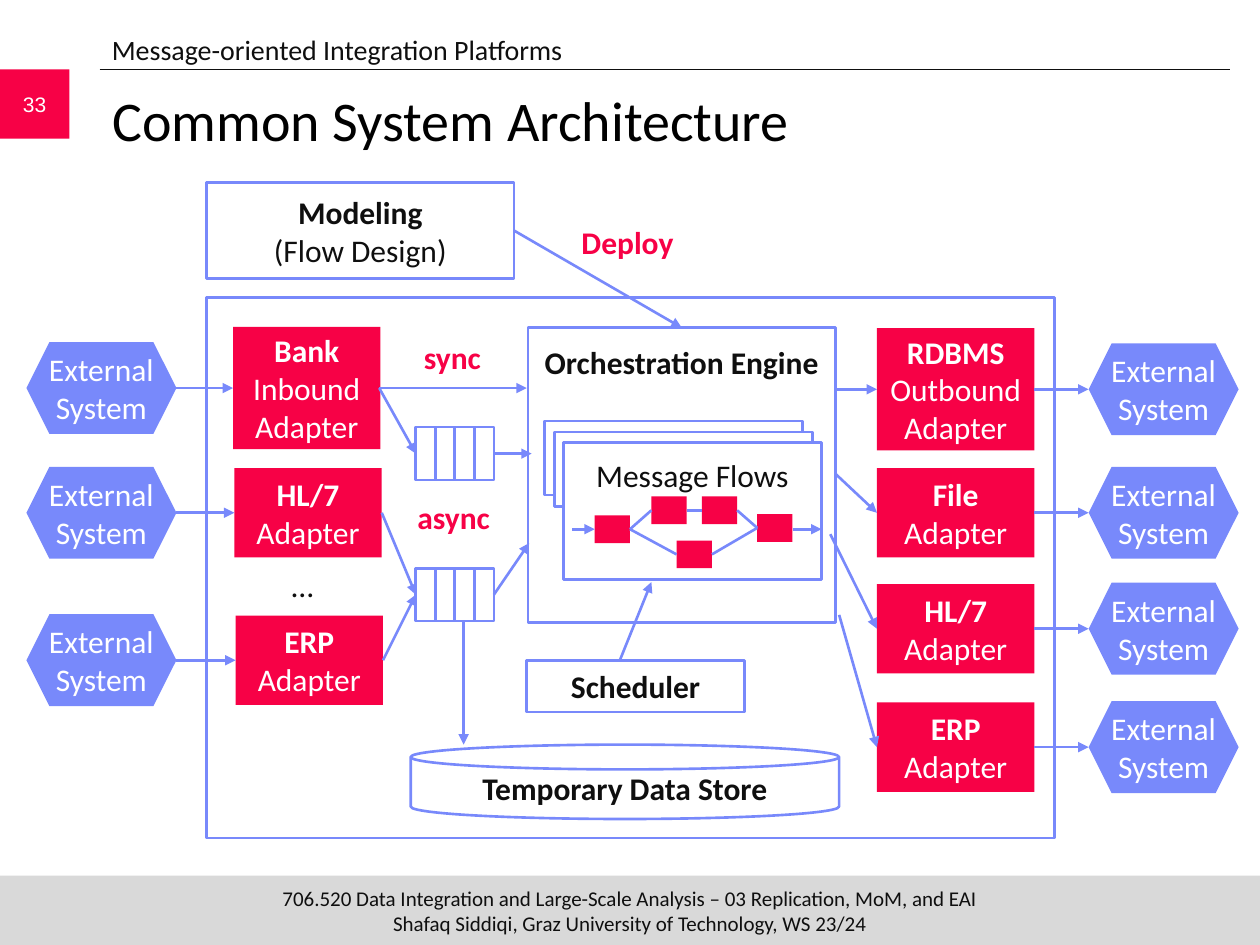
from lxml import etree
from pptx import Presentation
from pptx.dml.color import RGBColor
from pptx.enum.shapes import MSO_CONNECTOR, MSO_SHAPE
from pptx.enum.text import MSO_ANCHOR, PP_ALIGN
from pptx.oxml.ns import qn
from pptx.util import Inches, Pt

RED = RGBColor(0xF7, 0x01, 0x46)
BLUE = RGBColor(0x78, 0x89, 0xFB)
INK = RGBColor(0x0F, 0x0F, 0x0F)
BLACK = RGBColor(0, 0, 0)
WHITE = RGBColor(0xFF, 0xFF, 0xFF)
GRAY = RGBColor(0xD9, 0xD9, 0xD9)
RECT, HEXAGON = MSO_SHAPE.RECTANGLE, MSO_SHAPE.HEXAGON
DISK = MSO_SHAPE.FLOWCHART_MAGNETIC_DISK
STRAIGHT = MSO_CONNECTOR.STRAIGHT
TOP, MIDDLE = MSO_ANCHOR.TOP, MSO_ANCHOR.MIDDLE
LEFT, CENTER = PP_ALIGN.LEFT, PP_ALIGN.CENTER
HEX_W, HEX_H = 1.19, 0.73


def write(s, lines, color=INK, size=18, anchor=MIDDLE, align=CENTER,
          inset=(0.1, 0.05), font="Calibri"):
    """Fill s with one paragraph; lines is a list of (text, bold)."""
    tf = s.text_frame
    tf.word_wrap = True
    tf.vertical_anchor = anchor
    tf.margin_left = tf.margin_right = Inches(inset[0])
    tf.margin_top = tf.margin_bottom = Inches(inset[1])
    p = tf.paragraphs[0]
    p.alignment = align
    for i, (text, bold) in enumerate(lines):
        if i:
            p.add_line_break()
        r = p.add_run()
        r.text = text
        r.font.name, r.font.size, r.font.bold = font, Pt(size), bold
        r.font.color.rgb = color


def add_box(shapes, box, kind=RECT, fill=None, line=None):
    s = shapes.add_shape(kind, *map(Inches, box))
    s.shadow.inherit = False
    if fill is None:
        s.fill.background()
    else:
        s.fill.solid()
        s.fill.fore_color.rgb = fill
    if line is None:
        s.line.fill.background()
    else:
        s.line.color.rgb = line
        s.line.width = Pt(1.5)
    return s


def add_line(shapes, start, end, arrow=True, color=BLUE, width=1.5):
    c = shapes.add_connector(STRAIGHT, *map(Inches, (*start, *end)))
    c.line.color.rgb = color
    c.line.width = Pt(width)
    if arrow:
        etree.SubElement(c.line._get_or_add_ln(), qn("a:tailEnd"), type="triangle")
    etree.SubElement(c._element.spPr, qn("a:effectLst"))


def add_label(shapes, x, y, text, color=RED, bold=True):
    s = shapes.add_textbox(*map(Inches, (x, y, 0.98, 0.4)))
    write(s, [(text, bold)], color, anchor=TOP, inset=(0, 0.05))


def add_frame(slide, width, height):
    """Title, section heading, page number and footer."""
    shapes = slide.shapes
    footer = add_box(shapes, (0, height - 0.55, width, 0.55), fill=GRAY)
    write(footer, [
        ("706.520 Data Integration and Large-Scale Analysis – "
         "03 Replication, MoM, and EAI", False),
        ("Shafaq Siddiqi, Graz University of Technology, WS 23/24", False),
    ], size=12, inset=(0, 0))
    add_line(shapes, (0.79, 0.55), (9.76, 0.55), False, INK, 0.5)
    page = add_box(shapes, (0, 0.55, 0.55, 0.55), fill=RED)
    write(page, [("33", False)], WHITE, 12, font="Arial")
    title = shapes.title
    title.left, title.top, title.width, title.height = map(
        Inches, (0.79, 0.63, 8.96, 0.83))
    write(title, [("Common System Architecture", False)], BLACK, 32, TOP, LEFT)
    section = shapes.add_textbox(*map(Inches, (0.79, 0.21, 9, 0.36)))
    write(section, [("Message-oriented Integration Platforms", False)],
          size=16, anchor=TOP, align=LEFT)


def add_adapter(shapes, box, name, *rest):
    s = add_box(shapes, box, fill=RED)
    write(s, [(name, True)] + [(text, False) for text in rest], WHITE)


def add_external(shapes, x, middle):
    s = add_box(shapes, (x, middle - HEX_H / 2, HEX_W, HEX_H), HEXAGON, BLUE)
    write(s, [("External", False), ("System", False)], WHITE, inset=(0, 0))


def add_inbound(shapes, x):
    """External systems from x on, each feeding an adapter."""
    adapters = [(3.08, 0.97, "Bank", "Inbound", "Adapter"),
                (4.07, 0.71, "HL/7", "Adapter"),
                (5.24, 0.71, "ERP", "Adapter")]
    for i, (middle, height, *names) in enumerate(adapters):
        left = x + 1.64 + 0.01 * i
        add_adapter(shapes, (left, middle - height / 2, 1.17, height), *names)
        add_external(shapes, x, middle)
        add_line(shapes, (x + HEX_W, middle), (left, middle))
    add_label(shapes, x + 1.7, 4.44, "…", INK, False)


def add_outbound(shapes, x):
    """Adapters from x on, each feeding an external system."""
    adapters = [(3.09, 0.97, "RDBMS", "Outbound", "Adapter"),
                (4.07, 0.71, "File", "Adapter"),
                (4.99, 0.71, "HL/7", "Adapter"),
                (5.93, 0.71, "ERP", "Adapter")]
    sources = [(6.63, 3.09), (6.63, 3.76), (6.59, 4.24), (6.66, 4.88)]
    for (middle, height, *names), source in zip(adapters, sources):
        add_adapter(shapes, (x, middle - height / 2, 1.25, height), *names)
        add_external(shapes, x + 1.68, middle)
        add_line(shapes, (x + 1.25, middle), (x + 1.68, middle))
        add_line(shapes, source, (x, middle))


def add_queue(shapes, x, y, w, h, cells=4):
    group = shapes.add_group_shape()
    for i in range(cells):
        add_box(group.shapes, (x + i * w / cells, y, w / cells, h), line=BLUE)


def add_message_flows(shapes, x, y, w, h):
    """Stack of flows whose front sheet shows one flow graph."""
    for dx, dy in [(-0.15, -0.17), (-0.07, -0.08)]:
        add_box(shapes, (x + dx, y + dy, w, 0.59), fill=WHITE, line=BLUE)
    sheet = add_box(shapes, (x, y, w, h), fill=WHITE, line=BLUE)
    write(sheet, [("Message Flows", False)], anchor=TOP, inset=(0.1, 0.11))
    steps = [(0.25, 0.58), (0.7, 0.43), (1.1, 0.43), (1.54, 0.57), (0.9, 0.78)]
    for dx, dy in steps:
        add_box(shapes, (x + dx, y + dy, 0.28, 0.22), fill=RED)
    inputs = [(x + dx, y + dy + 0.11) for dx, dy in steps]
    outputs = [(left + 0.28, middle) for left, middle in inputs]
    for a, b in [(0, 1), (1, 2), (2, 3), (0, 4), (4, 3)]:
        add_line(shapes, outputs[a], inputs[b], False)
    row = y + 0.69
    add_line(shapes, (x + 0.07, row), (x + 0.25, row))
    add_line(shapes, (x + 1.82, row), (x + w, row))


def add_engine(shapes, x, y, w, h):
    s = add_box(shapes, (x, y, w, h), line=BLUE)
    write(s, [("Orchestration Engine", True)], anchor=TOP, inset=(0.1, 0.12))
    add_message_flows(shapes, x + 0.28, y + 0.91, 2.05, 1.09)


def add_services(shapes):
    """Modeling, scheduler and data store around the engine."""
    services = [
        ((1.64, 1.45, 2.44, 0.76), RECT, [("Modeling", True), ("(Flow Design)", False)]),
        ((4.18, 5.24, 1.73, 0.41), RECT, [("Scheduler", True)]),
        ((3.26, 5.91, 3.4, 0.59), DISK, [("Temporary Data Store", True)]),
    ]
    for box, kind, lines in services:
        write(add_box(shapes, box, kind, line=BLUE), lines)


def add_message_paths(shapes):
    """Arrows between adapters, queues, engine and services."""
    paths = [
        ((3.01, 3.08), (4.18, 3.08)), ((3.01, 3.08), (3.3, 3.6)),
        ((3.03, 4.07), (3.3, 4.72)), ((3.04, 5.24), (3.3, 4.72)),
        ((3.92, 3.6), (4.22, 3.6)), ((3.92, 4.72), (4.2, 4.31)),
        ((3.68, 4.93), (3.68, 5.91)), ((4.92, 5.24), (5.17, 4.62)),
        ((4.08, 1.83), (5.41, 2.6)),
    ]
    for start, end in paths:
        add_line(shapes, start, end)
    for x, y, text in [(4.49, 1.72, "Deploy"), (3.1, 2.63, "sync"), (3.11, 3.9, "async")]:
        add_label(shapes, x, y, text)


def main():
    prs = Presentation()
    prs.slide_width, prs.slide_height = Inches(10), Inches(7.5)
    slide = prs.slides.add_slide(prs.slide_layouts[5])
    shapes = slide.shapes
    add_frame(slide, 10, 7.5)
    add_box(shapes, (1.64, 2.36, 6.73, 4.29), line=BLUE)
    add_inbound(shapes, 0.21)
    for y in (3.39, 4.51):
        add_queue(shapes, 3.3, y, 0.62, 0.42)
    add_engine(shapes, 4.19, 2.6, 2.44, 2.34)
    add_outbound(shapes, 6.96)
    add_services(shapes)
    add_message_paths(shapes)
    prs.save("out.pptx")


if __name__ == "__main__":
    main()
